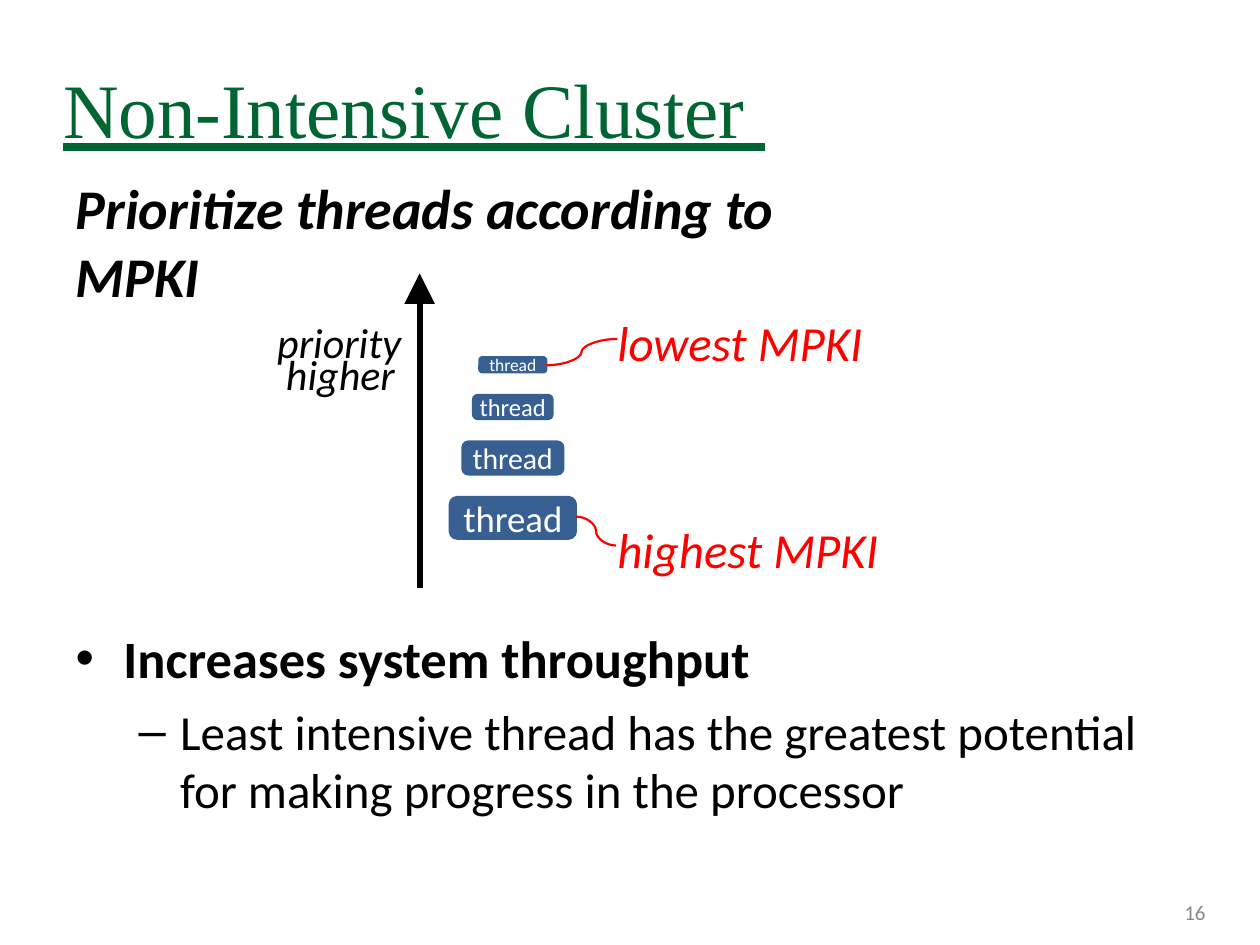
from dataclasses import dataclass

from lxml import etree
from pptx import Presentation
from pptx.dml.color import RGBColor
from pptx.enum.shapes import MSO_CONNECTOR, MSO_SHAPE
from pptx.enum.text import MSO_ANCHOR, MSO_AUTO_SIZE, MSO_UNDERLINE, PP_ALIGN
from pptx.oxml.ns import qn
from pptx.util import Inches, Pt

ROUNDED = MSO_SHAPE.ROUNDED_RECTANGLE
STRAIGHT, CURVE = MSO_CONNECTOR.STRAIGHT, MSO_CONNECTOR.CURVE
TOP, MIDDLE, NO_FIT = MSO_ANCHOR.TOP, MSO_ANCHOR.MIDDLE, MSO_AUTO_SIZE.NONE
LEFT, CENTER = PP_ALIGN.LEFT, PP_ALIGN.CENTER
HEAVY_LINE = MSO_UNDERLINE.HEAVY_LINE


@dataclass(frozen=True)
class Theme:
    title_font: str = "Times New Roman"
    text_font: str = "Calibri"
    green: str = "006532"
    blue: str = "375F91"
    red: str = "FF0000"
    black: str = "000000"
    white: str = "FFFFFF"
    gray: str = "888888"
    title_size: int = 44
    heading_size: int = 32
    point_size: int = 30
    detail_size: int = 28
    axis_size: int = 24
    number_size: int = 12
    thread_sizes: tuple[int, ...] = (10, 14, 17, 21)


@dataclass(frozen=True)
class Label:
    text: str
    left: float
    top: float
    width: float
    height: float
    size: int
    color: str
    bold: bool = False
    italic: bool = True


@dataclass(frozen=True)
class Thread:
    width: float
    height: float
    size: int


@dataclass(frozen=True)
class Line:
    start: tuple[float, float]
    end: tuple[float, float]
    color: str
    weight: float
    kind: int


@dataclass(frozen=True)
class ListItem:
    text: str
    bullet: str
    level: int
    size: int
    bold: bool
    margin: float
    hanging: float
    space_before: float


THEME = Theme()
THREAD_CENTER, THREAD_TOP, THREAD_GAP = 4.07, 2.84, 0.19

LABELS = [
    Label("Prioritize threads according to MPKI", 0.6, 1.38, 5.9, 1.1,
          THEME.heading_size, THEME.black, bold=True),
    Label("priority", 2.2, 2.51, 1.01, 0.36, THEME.axis_size, THEME.black),
    Label("higher", 2.27, 2.77, 0.93, 0.36, THEME.axis_size, THEME.black),
    Label("lowest MPKI", 4.9, 2.48, 2.1, 0.42, THEME.detail_size, THEME.red),
    Label("highest MPKI", 4.9, 4.12, 2.2, 0.42, THEME.detail_size, THEME.red),
    Label("16", 9.4, 7.14, 0.23, 0.19, THEME.number_size, THEME.gray, italic=False),
]
THREAD_BOXES = [(0.52, 0.11), (0.62, 0.18), (0.79, 0.25), (0.99, 0.32)]
THREADS = [Thread(width, height, size) for (width, height), size
           in zip(THREAD_BOXES, THEME.thread_sizes)]
PRIORITY_AXIS = Line((3.33, 4.67), (3.33, 2.17), THEME.black, 3.5, STRAIGHT)
CALLOUTS = [
    Line((4.33, 2.9), (4.9, 2.69), THEME.red, 1.25, CURVE),
    Line((4.57, 4.1), (4.89, 4.33), THEME.red, 1.25, CURVE),
]
LIST_ITEMS = [
    ListItem("Increases system throughput", "•", 0, THEME.point_size, True,
             0.38, 0.38, 0),
    ListItem("Least intensive thread has the greatest potential for making "
             "progress in the processor", "–", 1, THEME.detail_size, False,
             0.83, 0.33, 6.8),
]


def rgb(color: str) -> RGBColor:
    return RGBColor.from_string(color)


def place(shape, left: float, top: float, width: float, height: float) -> None:
    shape.left, shape.top = Inches(left), Inches(top)
    shape.width, shape.height = Inches(width), Inches(height)


def prepare_frame(shape, wrap: bool = True, anchor: int = TOP, left: float = 0):
    """Fix the frame's size and clear its insets, except the left one if given."""
    frame = shape.text_frame
    frame.word_wrap = wrap
    frame.auto_size = NO_FIT
    frame.vertical_anchor = anchor
    frame.margin_left = Inches(left)
    frame.margin_top = frame.margin_right = frame.margin_bottom = 0
    return frame


def style(para, size: int, color: str, name: str = THEME.text_font,
          bold: bool = False, italic: bool = False) -> None:
    font = para.font
    font.name, font.size = name, Pt(size)
    font.bold, font.italic = bold, italic
    font.color.rgb = rgb(color)


def fill_title(title) -> None:
    place(title, 0.34, 0.49, 9.33, 0.7)
    para = prepare_frame(title, left=0.16).paragraphs[0]
    para.text = "Non-Intensive Cluster "
    para.alignment = LEFT
    style(para, THEME.title_size, THEME.green, THEME.title_font)
    para.font.underline = HEAVY_LINE


def fill_list(body) -> None:
    place(body, 0.6, 4.97, 8.6, 1.5)
    frame = prepare_frame(body)
    for index, item in enumerate(LIST_ITEMS):
        para = frame.add_paragraph() if index else frame.paragraphs[0]
        para.text, para.level = item.text, item.level
        para.space_before = Pt(item.space_before)
        properties = para._p.get_or_add_pPr()
        properties.set("marL", str(Inches(item.margin)))
        properties.set("indent", str(-Inches(item.hanging)))
        etree.SubElement(properties, qn("a:buFont"), typeface="Arial")
        etree.SubElement(properties, qn("a:buChar"), char=item.bullet)
        style(para, item.size, THEME.black, bold=item.bold)


def draw_label(page, label: Label) -> None:
    box = page.shapes.add_textbox(Inches(label.left), Inches(label.top),
                                  Inches(label.width), Inches(label.height))
    para = prepare_frame(box).paragraphs[0]
    para.text = label.text
    style(para, label.size, label.color, bold=label.bold, italic=label.italic)


def draw_thread(page, thread: Thread, top: float) -> None:
    box = page.shapes.add_shape(
        ROUNDED, Inches(THREAD_CENTER - thread.width / 2), Inches(top),
        Inches(thread.width), Inches(thread.height))
    box.shadow.inherit = False
    box.fill.solid()
    box.fill.fore_color.rgb = box.line.color.rgb = rgb(THEME.blue)
    box.line.width = Pt(2)
    para = prepare_frame(box, wrap=False, anchor=MIDDLE).paragraphs[0]
    para.text = "thread"
    para.alignment = CENTER
    style(para, thread.size, THEME.white)


def draw_line(page, line: Line, arrow: bool = False) -> None:
    ends = [Inches(value) for value in (*line.start, *line.end)]
    connector = page.shapes.add_connector(line.kind, *ends)
    connector.line.color.rgb = rgb(line.color)
    connector.line.width = Pt(line.weight)
    if arrow:
        etree.SubElement(connector.line._get_or_add_ln(), qn("a:tailEnd"),
                         type="triangle", w="lg", len="lg")
    etree.SubElement(connector._element.spPr, qn("a:effectLst"))


def main() -> None:
    deck = Presentation()
    deck.slide_width, deck.slide_height = Inches(10), Inches(7.5)
    page = deck.slides.add_slide(deck.slide_layouts[1])
    fill_title(page.shapes.title)
    fill_list(page.placeholders[1])
    top = THREAD_TOP
    for thread in THREADS:
        draw_thread(page, thread, top)
        top += thread.height + THREAD_GAP
    draw_line(page, PRIORITY_AXIS, arrow=True)
    for label in LABELS:
        draw_label(page, label)
    for callout in CALLOUTS:
        draw_line(page, callout)
    deck.save("out.pptx")


if __name__ == "__main__":
    main()
